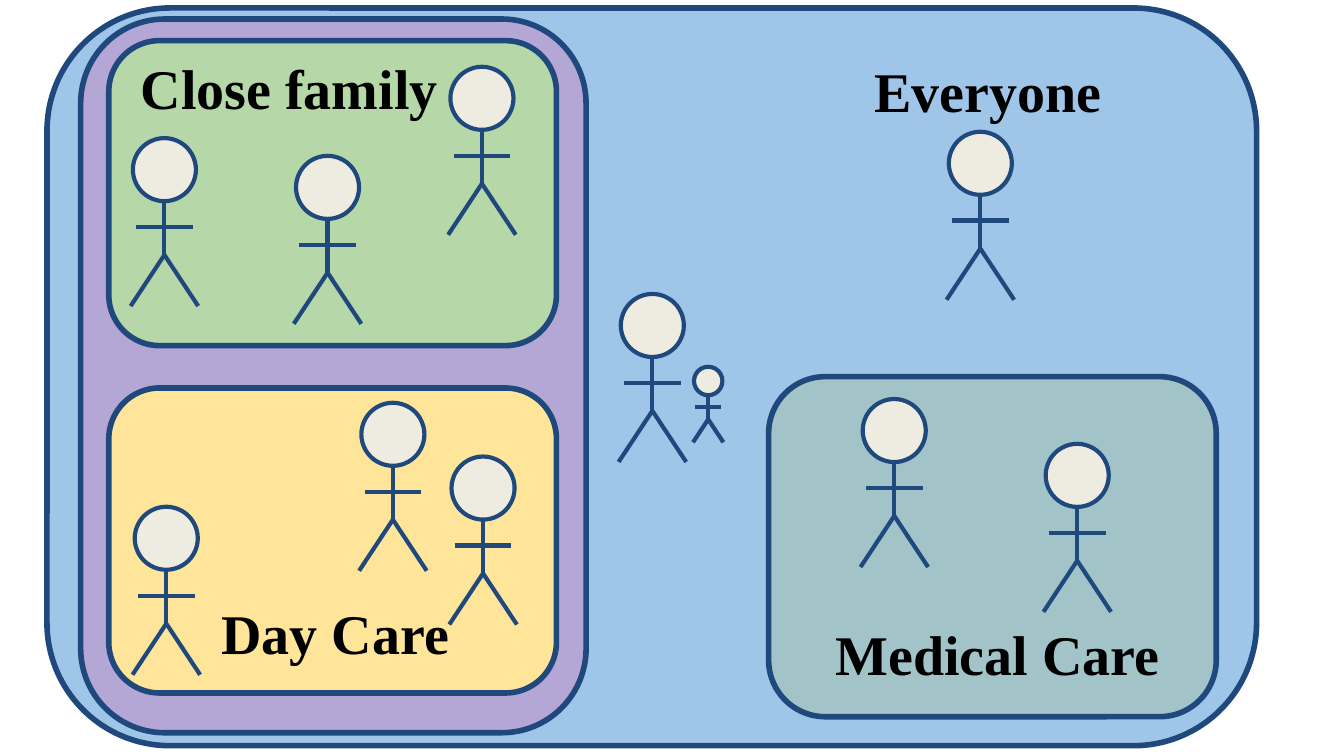
from dataclasses import dataclass

from lxml.etree import SubElement
from pptx import Presentation
from pptx.dml.color import RGBColor
from pptx.enum.shapes import MSO_CONNECTOR, MSO_SHAPE
from pptx.oxml.ns import qn
from pptx.slide import Slide
from pptx.util import Pt


@dataclass(frozen=True)
class Theme:
    line: str = "1F497D"
    head: str = "EEECE1"
    text: str = "000000"
    everyone: str = "9FC5E8"
    inner_circle: str = "B4A7D6"
    medical: str = "A2C4C9"
    day_care: str = "FFE599"
    family: str = "B6D7A8"
    font: str = "Times New Roman"
    label_size: float = 30
    panel_line: float = 3
    figure_line: float = 2.25


@dataclass(frozen=True)
class Panel:
    x: float
    y: float
    w: float
    h: float
    fill: str


@dataclass(frozen=True)
class Label:
    text: str
    x: float
    y: float
    w: float
    h: float


@dataclass(frozen=True)
class Person:
    x: float  # left of head
    y: float  # top of head
    scale: float = 1


T = Theme()
HEAD = 33.8  # head diameter of an adult
MID = HEAD / 2

# Limbs of an adult, measured from the top left of the head
LIMBS = [
    (MID, HEAD, MID, 63.8),         # body
    (MID, 62.6, MID + 18.1, 90),    # right leg
    (MID, 62.6, MID - 18.1, 90),    # left leg
    (MID - 15.2, 47.6, MID + 15.2, 47.6),  # arms
]

PANELS = [
    Panel(25.2, 4.3, 648, 395.2, T.everyone),
    Panel(43.2, 10.2, 270.8, 382.4, T.inner_circle),
    Panel(411.8, 201.8, 239.8, 182.2, T.medical),
    Panel(58.3, 207.9, 239.8, 163.4, T.day_care),
    Panel(58.3, 21.8, 239.8, 163.4, T.family),
]

LABELS = [
    Label("Medical Care", 440.6, 324.7, 195.1, 40.3),
    Label("Close family", 68.4, 21.6, 190.8, 51.8),
    Label("Day Care", 111.6, 313.2, 153.4, 46.8),
    Label("Everyone", 461.5, 23, 141.8, 38.2),
]

PEOPLE = [
    # Medical care
    Person(462.2, 213.8), Person(560.2, 237.8),
    # Everyone
    Person(508.3, 70.6),
    # Parent and child
    Person(332.6, 157.5), Person(371.8, 196.5, 0.45),
    # Day care
    Person(193.6, 215.8), Person(241.9, 244.6), Person(72.2, 271.5),
    # Close family
    Person(71.2, 74), Person(158.6, 83.5), Person(241.3, 35.8),
]


def add_block(s: Slide, kind: MSO_SHAPE, x: float, y: float, w: float,
              h: float, fill: str, line_width: float) -> None:
    sp = s.shapes.add_shape(kind, Pt(x), Pt(y), Pt(w), Pt(h))
    sp.shadow.inherit = False
    sp.fill.solid()
    sp.fill.fore_color.rgb = RGBColor.from_string(fill)
    sp.line.color.rgb = RGBColor.from_string(T.line)
    sp.line.width = Pt(line_width)


def add_line(s: Slide, x1: float, y1: float, x2: float, y2: float) -> None:
    ln = s.shapes.add_connector(MSO_CONNECTOR.STRAIGHT,
                                Pt(x1), Pt(y1), Pt(x2), Pt(y2))
    ln.line.color.rgb = RGBColor.from_string(T.line)
    ln.line.width = Pt(T.figure_line)
    SubElement(ln._element.spPr, qn("a:effectLst"))


def add_text(s: Slide, text: str, x: float, y: float, w: float, h: float, *,
             size: float = T.label_size, color: str = T.text,
             bold: bool = True, inset: float = 7.2) -> None:
    tf = s.shapes.add_textbox(Pt(x), Pt(y), Pt(w), Pt(h)).text_frame
    tf.word_wrap = True
    tf.margin_left = tf.margin_right = Pt(inset)
    tf.margin_top = tf.margin_bottom = Pt(inset)
    r = tf.paragraphs[0].add_run()
    r.text = text
    r.font.name = T.font
    r.font.size = Pt(size)
    r.font.bold = bold
    r.font.color.rgb = RGBColor.from_string(color)


def add_person(s: Slide, person: Person) -> None:
    k = person.scale
    add_block(s, MSO_SHAPE.FLOWCHART_CONNECTOR, person.x, person.y,
              HEAD * k, HEAD * k, T.head, T.figure_line)
    for x1, y1, x2, y2 in LIMBS:
        add_line(s, person.x + x1 * k, person.y + y1 * k,
                 person.x + x2 * k, person.y + y2 * k)


def main() -> None:
    prs = Presentation()
    prs.slide_width, prs.slide_height = Pt(720), Pt(405)
    s = prs.slides.add_slide(prs.slide_layouts[6])

    # Nested groups, then their names, then the people in them
    for panel in PANELS:
        add_block(s, MSO_SHAPE.ROUNDED_RECTANGLE, panel.x, panel.y,
                  panel.w, panel.h, panel.fill, T.panel_line)
    for label in LABELS:
        add_text(s, label.text, label.x, label.y, label.w, label.h)
    for person in PEOPLE:
        add_person(s, person)

    prs.save("out.pptx")


if __name__ == "__main__":
    main()
